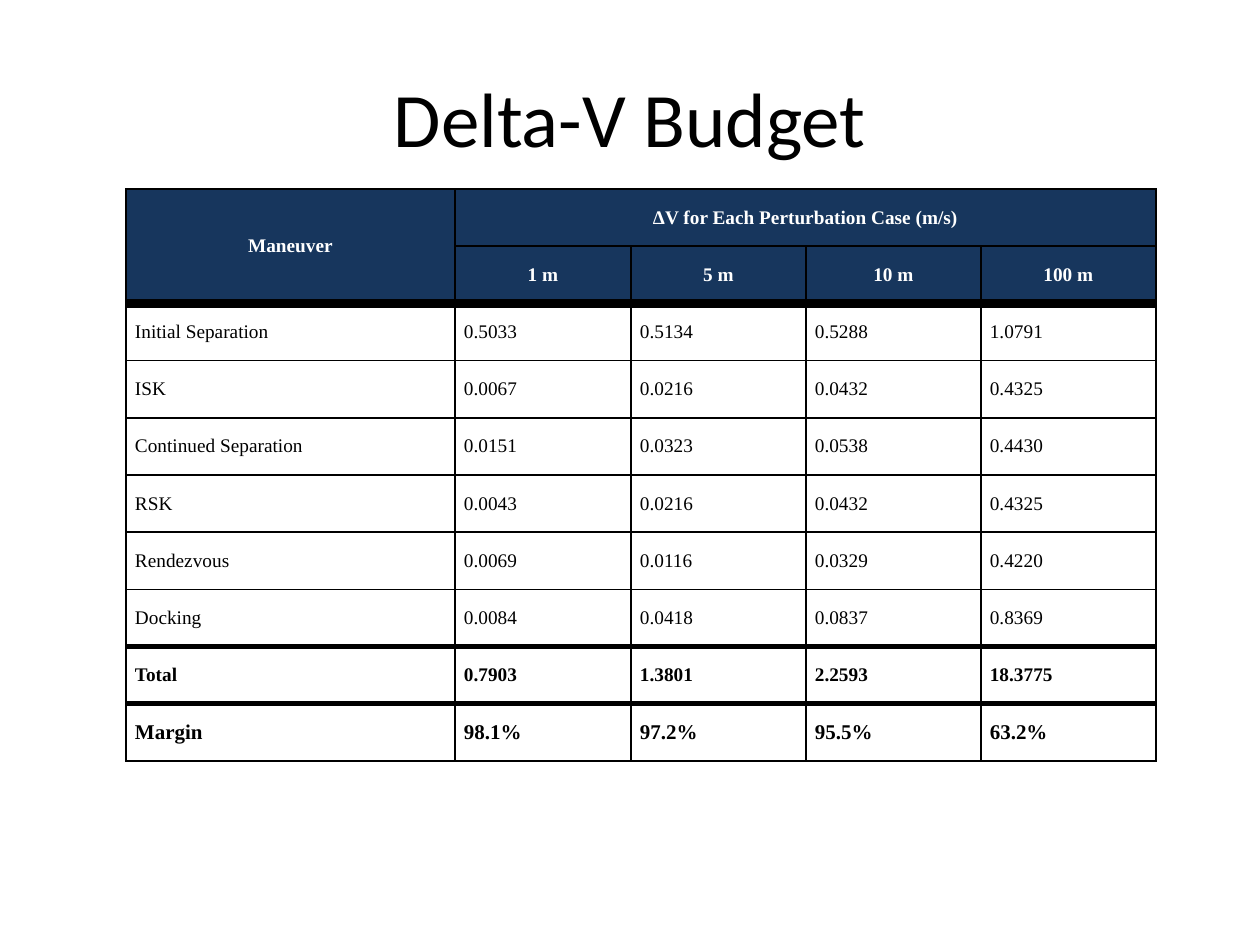
from dataclasses import dataclass

from lxml import etree
from pptx import Presentation
from pptx.dml.color import RGBColor
from pptx.enum.text import MSO_ANCHOR, PP_ALIGN
from pptx.oxml.ns import qn
from pptx.util import Pt

PX = 914400 // 126
BLANK_LAYOUT = 6
MIDDLE = MSO_ANCHOR.MIDDLE
CENTER, LEFT = PP_ALIGN.CENTER, PP_ALIGN.LEFT


@dataclass(frozen=True)
class Theme:
    ink: str = "000000"
    header_fill: str = "17365D"
    header_ink: str = "FFFFFF"
    title_font: str = "Calibri"
    table_font: str = "Times New Roman"
    title_size: int = 44
    table_size: int = 11
    margin_row_size: int = 12
    space_after: int = 6
    cell_inset: int = 9


class SlideBuilder:
    def __init__(self, slide, theme):
        self.slide = slide
        self.theme = theme

    def add_words(self, paragraph, words, font, size, color, align, bold=False):
        paragraph.alignment = align
        run = paragraph.add_run()
        run.text = words
        run.font.name = font
        run.font.size = Pt(size)
        run.font.bold = bold
        run.font.color.rgb = RGBColor.from_string(color)

    def title(self, words, *box):
        frame = self.slide.shapes.add_textbox(*(n * PX for n in box)).text_frame
        frame.word_wrap = True
        frame.vertical_anchor = MIDDLE
        self.add_words(frame.paragraphs[0], words, self.theme.title_font,
                       self.theme.title_size, self.theme.ink, CENTER)

    def borders(self, cell, **points):
        """Add the cell's edges; keywords are L, R, T and B in that order."""
        properties = cell._tc.get_or_add_tcPr()
        for side, width in points.items():
            line = etree.SubElement(properties, qn(f"a:ln{side}"), w=str(Pt(width)))
            fill = etree.SubElement(line, qn("a:solidFill"))
            etree.SubElement(fill, qn("a:srgbClr"), val=self.theme.ink)

    def cell(self, cell, words, size, header, bold):
        theme = self.theme
        cell.margin_left = cell.margin_right = theme.cell_inset * PX
        cell.margin_top = cell.margin_bottom = 0
        cell.vertical_anchor = MIDDLE
        if header:
            cell.fill.solid()
            cell.fill.fore_color.rgb = RGBColor.from_string(theme.header_fill)
        else:
            cell.fill.background()
        paragraph = cell.text_frame.paragraphs[0]
        paragraph.space_after = Pt(theme.space_after)
        if words:
            self.add_words(paragraph, words, theme.table_font, size,
                           theme.header_ink if header else theme.ink,
                           CENTER if header else LEFT, bold)

    def budget_table(self, rows, left, top, widths, height, rules, header_rows, bold_rows):
        count = len(rows)
        table = self.slide.shapes.add_table(
            count, len(widths), left * PX, top * PX, sum(widths) * PX, height * PX).table
        table.first_row = table.horz_banding = False
        for column, width in zip(table.columns, widths):
            column.width = width * PX
        for row in table.rows:
            row.height = height * PX // count

        # Header spans
        table.cell(0, 0).merge(table.cell(1, 0))
        table.cell(0, 1).merge(table.cell(0, len(widths) - 1))

        for r, values in enumerate(rows):
            size = self.theme.margin_row_size if r == count - 1 else self.theme.table_size
            header = r < header_rows
            for c, words in enumerate(values):
                cell = table.cell(r, c)
                end = r + (cell.span_height if cell.is_merge_origin else 1)
                self.borders(cell, L=1, R=1, T=rules[r], B=rules[end])
                self.cell(cell, words, size, header, header or r >= count - bold_rows)


BUDGET = [
    ("Maneuver", "ΔV for Each Perturbation Case (m/s)", "", "", ""),
    ("", "1 m", "5 m", "10 m", "100 m"),
    ("Initial Separation", "0.5033", "0.5134", "0.5288", "1.0791"),
    ("ISK", "0.0067", "0.0216", "0.0432", "0.4325"),
    ("Continued Separation", "0.0151", "0.0323", "0.0538", "0.4430"),
    ("RSK", "0.0043", "0.0216", "0.0432", "0.4325"),
    ("Rendezvous", "0.0069", "0.0116", "0.0329", "0.4220"),
    ("Docking", "0.0084", "0.0418", "0.0837", "0.8369"),
    ("Total", "0.7903", "1.3801", "2.2593", "18.3775"),
    ("Margin", "98.1%", "97.2%", "95.5%", "63.2%"),
]
# Horizontal line widths in points, from the top edge to the bottom edge
RULES = [1, 1, 6, 1, 1, 1, 1, 1, 3, 3, 1]


def main():
    deck = Presentation()
    deck.slide_width, deck.slide_height = 1260 * PX, 945 * PX
    slide = deck.slides.add_slide(deck.slide_layouts[BLANK_LAYOUT])
    builder = SlideBuilder(slide, Theme())

    builder.title("Delta-V Budget", 63, 38, 1134, 157)
    builder.budget_table(BUDGET, left=126, top=189, widths=[329, 176, 175, 175, 175],
                         height=572, rules=RULES, header_rows=2, bold_rows=2)
    deck.save("out.pptx")


if __name__ == "__main__":
    main()
